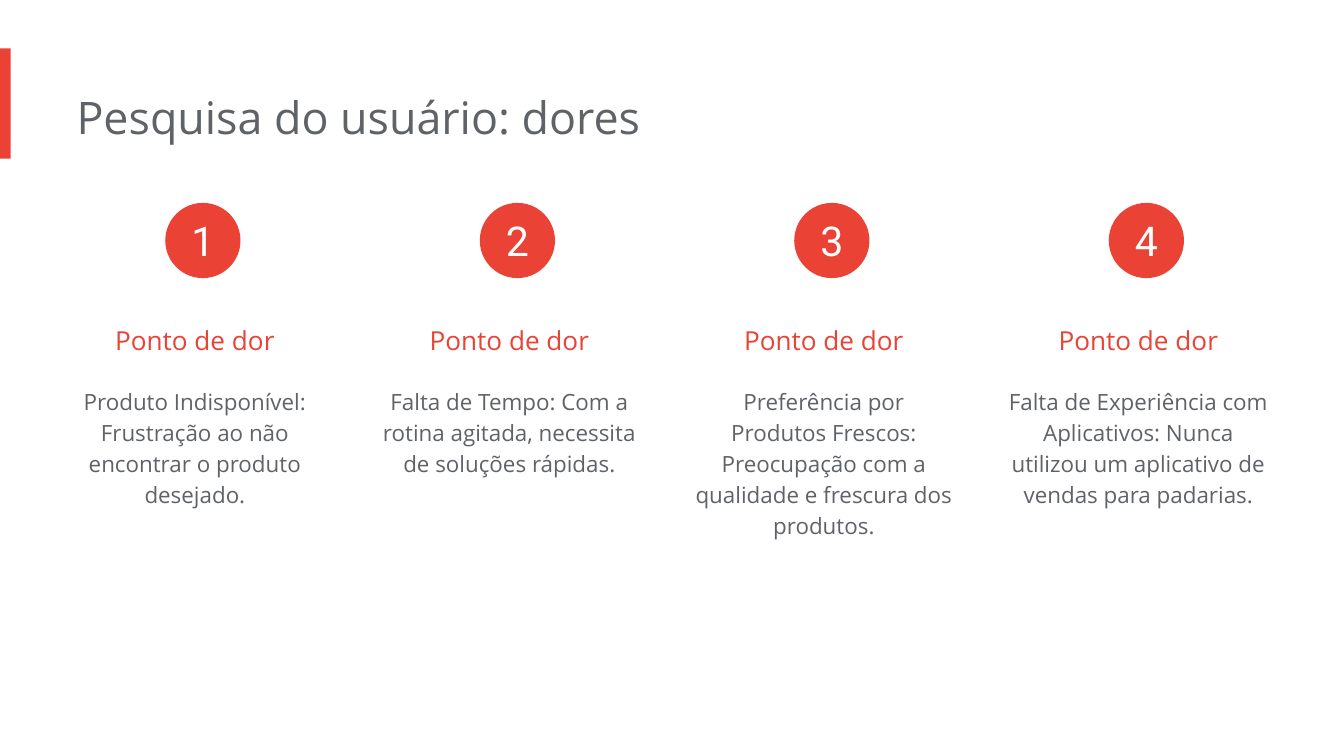
from dataclasses import dataclass
from typing import Optional

import pptx
import pptx.dml.color
import pptx.enum.shapes
import pptx.enum.text
import pptx.util

Inches = pptx.util.Inches
Shapes = pptx.enum.shapes.MSO_SHAPE
Align = pptx.enum.text.PP_ALIGN


@dataclass(frozen=True)
class TextStyle:
    size: float
    color: str
    font: str = "Open Sans"
    align: Align = Align.CENTER
    line_spacing: Optional[float] = None


@dataclass(frozen=True)
class Theme:
    accent: str = "EA4335"
    title: TextStyle = TextStyle(24, "5F6368", align=Align.LEFT)
    heading: TextStyle = TextStyle(14, "EA4335", line_spacing=1.5)
    body: TextStyle = TextStyle(12, "5F6368", line_spacing=1.15)
    number: TextStyle = TextStyle(22, "FFFFFF", font="Roboto")


@dataclass(frozen=True)
class PainPoint:
    text: str
    lines: int


THEME = Theme()
PAIN_POINTS = [
    PainPoint("Produto Indisponível: Frustração ao não encontrar o produto desejado.", 4),
    PainPoint("Falta de Tempo: Com a rotina agitada, necessita de soluções rápidas.", 3),
    PainPoint("Preferência por Produtos Frescos: Preocupação com a qualidade e "
              "frescura dos produtos.", 5),
    PainPoint("Falta de Experiência com Aplicativos: Nunca utilizou um aplicativo "
              "de vendas para padarias.", 4),
]
PAGE_WIDTH = Inches(10)
PAGE_HEIGHT = PAGE_WIDTH * 9 // 16
COLUMN_LEFT = 0.48
COLUMN_PITCH = 2.34
COLUMN_WIDTH = 2.04
CIRCLE_OFFSET = 0.75
CIRCLE_SIZE = 0.56
LINE_HEIGHT = 0.23
PADDING = 0.1


def write(frame, text: str, style: TextStyle) -> None:
    para = frame.paragraphs[0]
    para.text = text
    para.alignment = style.align
    if style.line_spacing:
        para.line_spacing = style.line_spacing
    para.font.size = pptx.util.Pt(style.size)
    para.font.name = style.font
    para.font.color.rgb = pptx.dml.color.RGBColor.from_string(style.color)


def add_text(page, left: float, top: float, width: float, height: float,
             text: str, style: TextStyle) -> None:
    box = page.shapes.add_textbox(Inches(left), Inches(top), Inches(width), Inches(height))
    frame = box.text_frame
    frame.word_wrap = True
    frame.auto_size = pptx.enum.text.MSO_AUTO_SIZE.SHAPE_TO_FIT_TEXT
    frame.margin_left = 0
    frame.margin_top = frame.margin_right = frame.margin_bottom = Inches(PADDING)
    write(frame, text, style)


def add_accent_shape(page, kind: Shapes, left: float, top: float,
                     width: float, height: float):
    shape = page.shapes.add_shape(
        kind, Inches(left), Inches(top), Inches(width), Inches(height))
    shape.shadow.inherit = False
    shape.fill.solid()
    shape.fill.fore_color.rgb = pptx.dml.color.RGBColor.from_string(THEME.accent)
    shape.line.fill.background()
    return shape


def add_number(page, left: float, number: int) -> None:
    circle = add_accent_shape(page, Shapes.OVAL, left, 1.51, CIRCLE_SIZE, CIRCLE_SIZE)
    frame = circle.text_frame
    frame.margin_left = frame.margin_top = frame.margin_right = frame.margin_bottom = 0
    frame.vertical_anchor = pptx.enum.text.MSO_ANCHOR.MIDDLE
    write(frame, str(number), THEME.number)


def add_column(page, index: int, point: PainPoint) -> None:
    left = COLUMN_LEFT + index * COLUMN_PITCH
    add_text(page, left, 2.2, COLUMN_WIDTH, 0.56, "Ponto de dor", THEME.heading)
    add_text(page, left, 2.76, COLUMN_WIDTH, point.lines * LINE_HEIGHT + 2 * PADDING,
             point.text, THEME.body)
    add_number(page, left + CIRCLE_OFFSET, index + 1)


def main() -> None:
    deck = pptx.Presentation()
    deck.slide_width, deck.slide_height = PAGE_WIDTH, PAGE_HEIGHT
    page = deck.slides.add_slide(deck.slide_layouts[6])
    add_accent_shape(page, Shapes.RECTANGLE, 0, 0.36, 0.08, 0.82)
    add_text(page, 0.57, 0.57, 6.73, 0.61, "Pesquisa do usuário: dores", THEME.title)
    for index, point in enumerate(PAIN_POINTS):
        add_column(page, index, point)
    deck.save("out.pptx")


if __name__ == "__main__":
    main()
